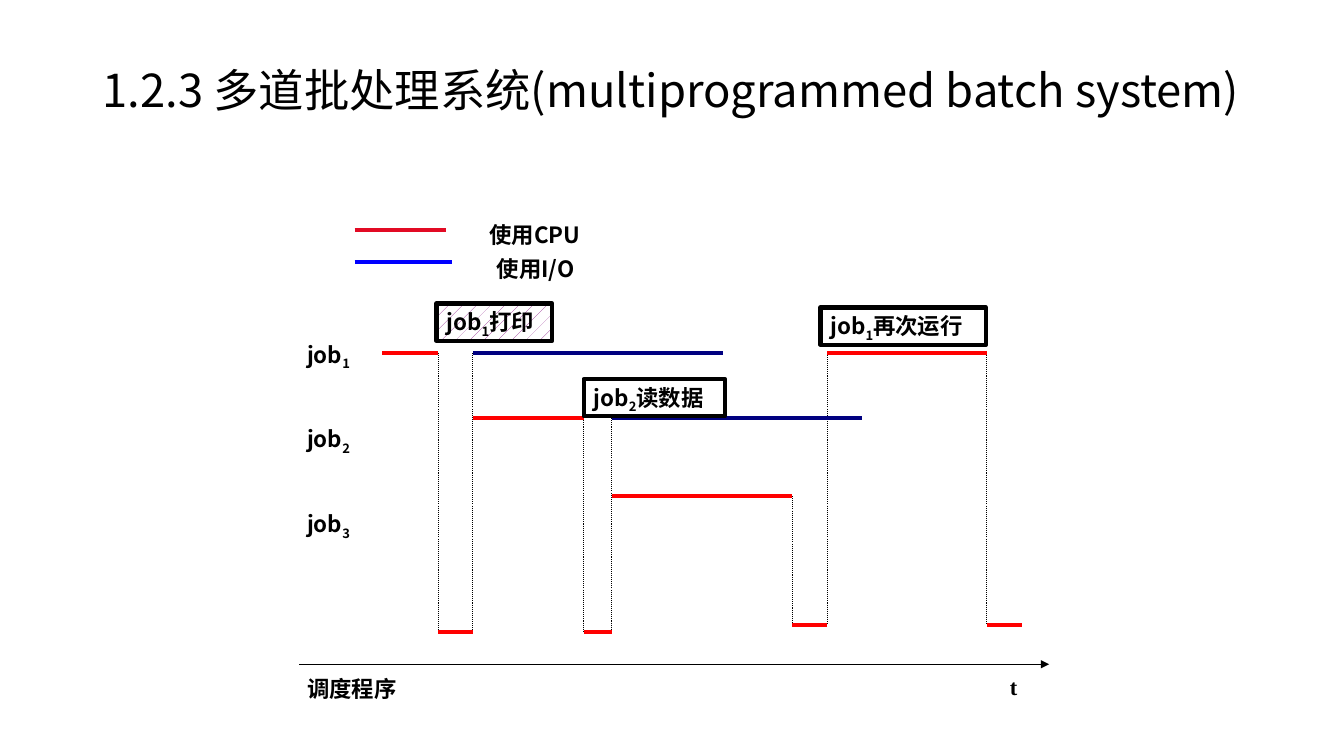
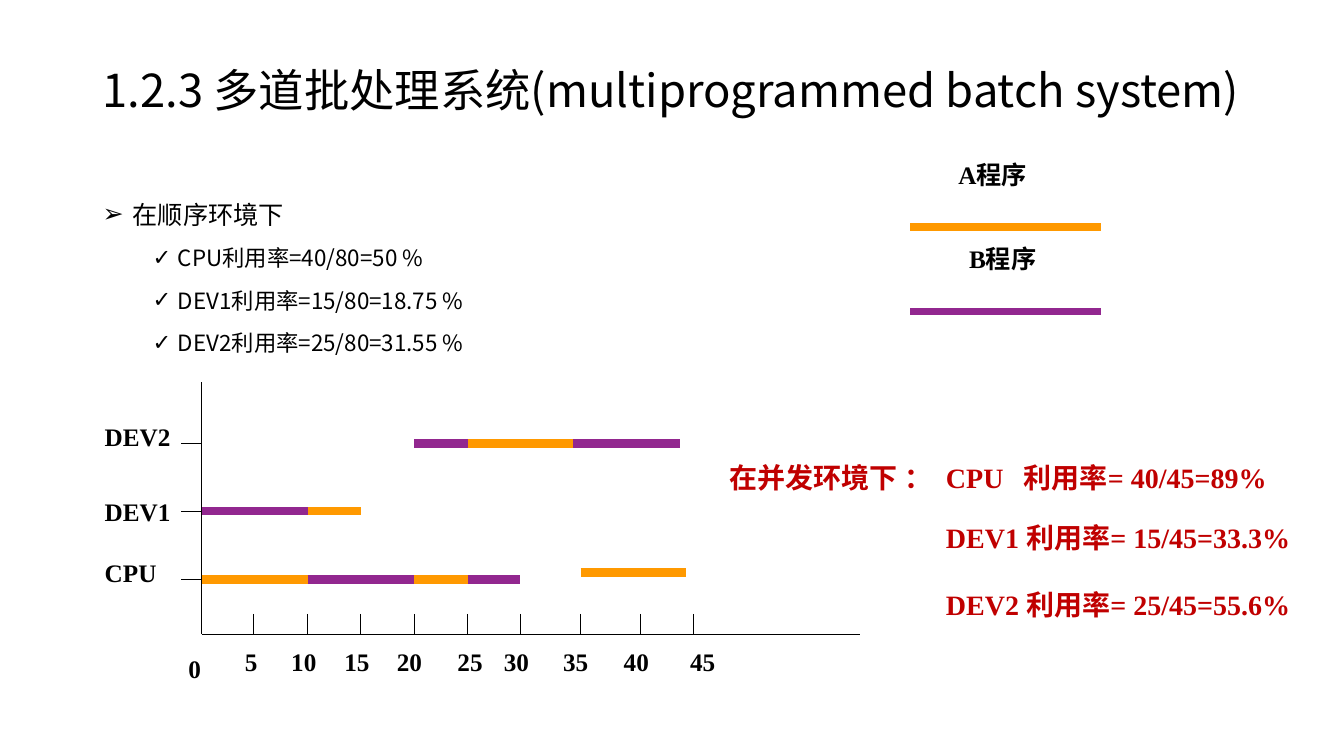
from lxml import etree
from pptx import Presentation
from pptx.dml.color import RGBColor
from pptx.enum.dml import MSO_LINE, MSO_PATTERN
from pptx.enum.shapes import MSO_CONNECTOR, MSO_SHAPE
from pptx.enum.text import MSO_ANCHOR, MSO_AUTO_SIZE, PP_ALIGN
from pptx.oxml.ns import qn
from pptx.util import Cm, Pt

STRAIGHT = MSO_CONNECTOR.STRAIGHT
RECTANGLE = MSO_SHAPE.RECTANGLE
DOTTED = MSO_LINE.ROUND_DOT
SPARSE_DOTS = MSO_PATTERN.PERCENT_5
LEFT, CENTER = PP_ALIGN.LEFT, PP_ALIGN.CENTER
TOP, MIDDLE = MSO_ANCHOR.TOP, MSO_ANCHOR.MIDDLE
NO_FIT = MSO_AUTO_SIZE.NONE

BLACK = RGBColor(0x00, 0x00, 0x00)
WHITE = RGBColor(0xFF, 0xFF, 0xFF)
RED = RGBColor(0xFF, 0x00, 0x00)
CRIMSON = RGBColor(0xE2, 0x0A, 0x24)
BLUE = RGBColor(0x00, 0x00, 0xFF)
NAVY = RGBColor(0x00, 0x00, 0x80)
ORANGE = RGBColor(0xFF, 0x99, 0x00)
PURPLE = RGBColor(0x92, 0x27, 0x8F)
DARK_RED = RGBColor(0xC0, 0x00, 0x00)

SANS = "Noto Sans CJK SC"
SERIF = "Times New Roman"

TITLE = "1.2.3 多道批处理系统(multiprogrammed batch system)"

# Slide 1, all positions in cm
JOB_1, JOB_2, JOB_3 = 8.89, 10.54, 12.5
SCHEDULER_EARLY, SCHEDULER_LATE = 15.93, 15.75
CPU_START = 9.63
CPU_STEPS = [  # level, end time
    (JOB_1, 11.05), (SCHEDULER_EARLY, 11.91),
    (JOB_2, 14.71), (SCHEDULER_EARLY, 15.42),
    (JOB_3, 19.96), (SCHEDULER_LATE, 20.85),
    (JOB_1, 24.87), (SCHEDULER_LATE, 25.76),
]
IO_STEPS = [(JOB_1, 11.91, 18.21), (JOB_2, 15.42, 21.72)]
USAGE_LEGEND = [  # text, text left and top, line end and level, colour
    ("使用CPU", 12.09, 5.46, 11.23, 5.79, CRIMSON),
    ("使用I/O", 12.27, 6.3, 11.38, 6.6, BLUE),
]
ROW_LABELS = [
    (["job", "1"], 8.46), (["job", "2"], 10.6),
    (["job", "3"], 12.73), (["调度程序"], 16.9),
]
EVENTS = [  # text, left, top, width, patterned
    (["job", "1", "打印"], 11, 7.65, 2.92, True),
    (["job", "1", "再次运行"], 20.68, 7.75, 4.17, False),
    (["job", "2", "读数据"], 14.71, 9.55, 3.56, False),
]

# Slide 2, all positions in cm
SEQUENTIAL = [
    "在顺序环境下",
    "CPU利用率=40/80=50 %",
    "DEV1利用率=15/80=18.75 %",
    "DEV2利用率=25/80=31.55 %",
]
LEVELS = [  # bullet, indent, hanging, size
    ("➢", 0.76, 0.76, 18),
    ("✓", 1.9, 0.64, 16),
]
CONCURRENT = [
    "在并发环境下 ：\tCPU\t利用率= 40/45=89%",
    "DEV1 利用率= 15/45=33.3%",
    "DEV2 利用率= 25/45=55.6%",
]
CONCURRENT_GAPS = [0, 19, 24]
CONCURRENT_INDENT = 5.45
CONCURRENT_TABS = [CONCURRENT_INDENT, 7.41]
ORIGIN_X, AXIS_Y = 5.08, 15.98
TICK = 0.51
TIME_TICKS = [  # time, tick, label left
    (5, 6.4, 5.92), (10, 7.75, 7.09), (15, 9.09, 8.43),
    (20, 10.44, 9.75), (25, 11.79, 11.28), (30, 13.11, 12.45),
    (35, 14.63, 13.94), (40, 16.13, 15.47), (45, 17.48, 17.14),
]
DEVICES = [  # name, label top, level, runs of (start, end, colour)
    ("DEV2", 10.49, 11.18, [(10.44, 11.79, PURPLE), (11.79, 14.45, ORANGE),
                            (14.45, 17.15, PURPLE)]),
    ("DEV1", 12.37, 12.88, [(5.08, 7.75, PURPLE), (7.75, 9.09, ORANGE)]),
    ("CPU", 13.92, 14.6, [(5.08, 7.75, ORANGE), (7.75, 10.44, PURPLE),
                          (10.44, 11.79, ORANGE), (11.79, 13.11, PURPLE)]),
]
LATE_CPU_RUN = (14.63, 17.3, 14.43)
PROGRAM_LEGEND = [  # text, left, top, line level, weight, colour
    ("A程序", 23.7, 3.89, 5.72, 6, ORANGE),
    ("B程序", 23.95, 6, 7.85, 4.5, PURPLE),
]


def style_runs(paragraph, font_name, size, color=BLACK, bold=True):
    for run in paragraph.runs:
        font = run.font
        font.name, font.size, font.bold = font_name, Pt(size), bold
        font.color.rgb = color
        latin = run._r.rPr.find(qn("a:latin"))
        east_asian = etree.Element(qn("a:ea"), typeface=SANS)
        latin.addnext(east_asian)


def write_parts(paragraph, parts, font_name, size):
    """Write the parts as runs; the second one is a subscript."""
    for part in parts:
        paragraph.add_run().text = part
    style_runs(paragraph, font_name, size)
    for subscript in paragraph.runs[1:2]:
        subscript._r.rPr.set("baseline", "-25000")


def add_line(slide, x1, y1, x2, y2, color=BLACK, weight=0.75, dash=None,
             arrow=False):
    line = slide.shapes.add_connector(STRAIGHT, Cm(x1), Cm(y1), Cm(x2), Cm(y2))
    line.line.color.rgb = color
    line.line.width = Pt(weight)
    if dash is not None:
        line.line.dash_style = dash
    properties = line._element.spPr
    if arrow:
        etree.SubElement(properties.find(qn("a:ln")), qn("a:tailEnd"),
                         type="triangle")
    etree.SubElement(properties, qn("a:effectLst"))


def add_text_frame(slide, left, top, width, height):
    box = slide.shapes.add_textbox(Cm(left), Cm(top), Cm(width), Cm(height))
    box.text_frame.word_wrap = True
    return box.text_frame


def add_label(slide, parts, left, top, width, height=0.94, font_name=SANS,
              size=16, align=LEFT):
    paragraph = add_text_frame(slide, left, top, width, height).paragraphs[0]
    paragraph.alignment = align
    write_parts(paragraph, parts, font_name, size)


def add_titled_slide(deck, layout_index):
    slide = deck.slides.add_slide(deck.slide_layouts[layout_index])
    title = slide.shapes.title
    title.left, title.top = Cm(2.33), Cm(1.01)
    title.width, title.height = Cm(29.21), Cm(2.77)
    frame = title.text_frame
    frame.text = TITLE
    frame.auto_size = NO_FIT
    frame.vertical_anchor = MIDDLE
    paragraph = frame.paragraphs[0]
    paragraph.alignment = LEFT
    paragraph.line_spacing = 0.76
    style_runs(paragraph, SANS, 32.4, bold=False)
    return slide


def add_event(slide, parts, left, top, width, patterned):
    event = slide.shapes.add_shape(RECTANGLE, Cm(left), Cm(top), Cm(width),
                                   Cm(0.94))
    event.shadow.inherit = False
    event.line.color.rgb = BLACK
    event.line.width = Pt(3)
    if patterned:
        event.fill.patterned()
        event.fill.pattern = SPARSE_DOTS
        event.fill.fore_color.rgb = PURPLE
        event.fill.back_color.rgb = WHITE
    else:
        event.fill.background()
    frame = event.text_frame
    frame.word_wrap = False
    frame.vertical_anchor = TOP
    paragraph = frame.paragraphs[0]
    paragraph.alignment = LEFT
    write_parts(paragraph, parts, SANS, 16)


def build_schedule(deck):
    slide = add_titled_slide(deck, 5)
    add_line(slide, 7.54, 16.74, 26.44, 16.74, arrow=True)
    add_label(slide, ["t"], 25.2, 16.84, 0.76, font_name=SERIF)
    for parts, top in ROW_LABELS:
        add_label(slide, parts, 7.49, top, 3.23)

    levels = [level for level, _ in CPU_STEPS]
    for i, (_, end) in enumerate(CPU_STEPS[:-1]):
        highest = min(levels[max(i - 1, 0):i + 2])
        lowest = max(levels[i:i + 2])
        add_line(slide, end, highest, end, lowest, dash=DOTTED)
    start = CPU_START
    for level, end in CPU_STEPS:
        add_line(slide, start, level, end, level, RED, 3)
        start = end
    for level, start, end in IO_STEPS:
        add_line(slide, start, level, end, level, NAVY, 3)

    for event in EVENTS:
        add_event(slide, *event)
    for text, left, top, end, level, color in USAGE_LEGEND:
        add_line(slide, 8.94, level, end, level, color, 3)
        add_label(slide, [text], left, top, 3.1)


def fill_sequential(body):
    body.left, body.top = Cm(2.33), Cm(4.65)
    body.width, body.height = Cm(14.15), Cm(12.52)
    frame = body.text_frame
    frame.text = "\n".join(SEQUENTIAL)
    frame.auto_size = NO_FIT
    frame.margin_top = Cm(0.36)
    for i, paragraph in enumerate(frame.paragraphs):
        paragraph.level = min(i, 1)
        bullet, indent, hanging, size = LEVELS[paragraph.level]
        properties = paragraph._p.get_or_add_pPr()
        properties.set("marL", str(Cm(indent)))
        properties.set("indent", str(-Cm(hanging)))
        etree.SubElement(properties, qn("a:buChar"), char=bullet)
        paragraph.line_spacing = 1.0
        paragraph.space_before = Pt(11 if i else 0)
        style_runs(paragraph, SANS, size, bold=False)


def add_concurrent(slide):
    frame = add_text_frame(slide, 18.14, 11.48, 15.06, 4.5)
    frame.text = "\n".join(CONCURRENT)
    for i, paragraph in enumerate(frame.paragraphs):
        properties = paragraph._p.get_or_add_pPr()
        if i == 0:
            tabs = etree.SubElement(properties, qn("a:tabLst"))
            for position in CONCURRENT_TABS:
                etree.SubElement(tabs, qn("a:tab"), pos=str(Cm(position)),
                                 algn="l")
        else:
            properties.set("marL", str(Cm(CONCURRENT_INDENT)))
        paragraph.space_before = Pt(CONCURRENT_GAPS[i])
        style_runs(paragraph, SERIF, 20, DARK_RED)


def build_utilisation(deck):
    slide = add_titled_slide(deck, 1)
    fill_sequential(slide.placeholders[1])

    add_line(slide, ORIGIN_X, AXIS_Y, 21.67, AXIS_Y)
    add_line(slide, ORIGIN_X, 9.63, ORIGIN_X, AXIS_Y)
    add_label(slide, ["0"], 4.5, 16.33, 1.02, 0.84, SERIF, 18)
    for time, x, left in TIME_TICKS:
        add_line(slide, x, AXIS_Y - TICK, x, AXIS_Y)
        add_label(slide, [str(time)], left, 16.15, 1.5, 0.84, SERIF, 18)

    for name, top, level, runs in DEVICES:
        add_line(slide, ORIGIN_X - TICK, level, ORIGIN_X, level)
        add_label(slide, [name], 2.39, top, 2.51, 0.84, SERIF, 18)
        for start, end, color in runs:
            add_line(slide, start, level, end, level, color, 6)
    start, end, level = LATE_CPU_RUN
    add_line(slide, start, level, end, level, ORANGE, 6)

    add_concurrent(slide)
    for text, left, top, level, weight, color in PROGRAM_LEGEND:
        add_line(slide, 22.94, level, 27.74, level, color, weight)
        add_label(slide, [text], left, top, 2.64, 1.19, SERIF, 18, CENTER)


def main():
    deck = Presentation()
    deck.slide_width, deck.slide_height = Cm(33.87), Cm(19.05)
    build_schedule(deck)
    build_utilisation(deck)
    deck.save("out.pptx")


if __name__ == "__main__":
    main()
